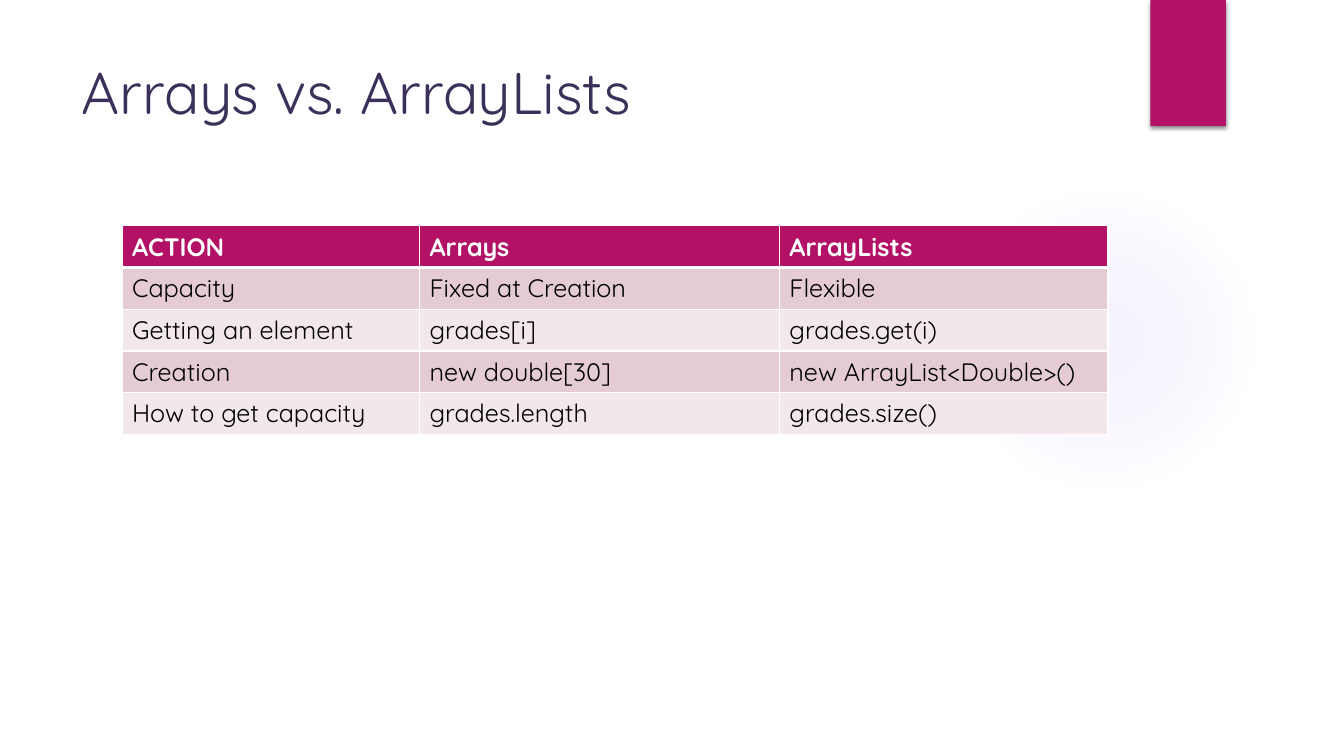
from pptx import Presentation
from pptx.dml.color import RGBColor
from pptx.enum.shapes import MSO_SHAPE
from pptx.enum.text import MSO_ANCHOR, PP_ALIGN
from pptx.oxml import parse_xml
from pptx.oxml.ns import nsdecls, qn
from pptx.util import Inches, Pt

OVAL, RECTANGLE = MSO_SHAPE.OVAL, MSO_SHAPE.RECTANGLE
TOP, LEFT = MSO_ANCHOR.TOP, PP_ALIGN.LEFT

# Content
TITLE = "Arrays vs. ArrayLists"
ROWS = [
    ("ACTION", "Arrays", "ArrayLists"),
    ("Capacity", "Fixed at Creation", "Flexible"),
    ("Getting an element", "grades[i]", "grades.get(i)"),
    ("Creation", "new double[30]", "new ArrayList<Double>()"),
    ("How to get capacity", "grades.length", "grades.size()"),
]

# Style
FONT = "Quicksand"
MAGENTA, VIOLET, INK = "B31166", "9B6BF2", "3B3059"
WHITE, BLACK = "FFFFFF", "000000"
BANDS = ("F2E7EA", "E5CCD3")
GLOW_STOPS = [(0, 7), (36, 6), (69, 0)]  # position %, opacity %
COLUMN_WIDTHS = (2.95, 3.57, 3.26)
ROW_HEIGHT = 0.41


def color(value):
    return RGBColor.from_string(value)


def set_font(paragraph, size, value, bold=False):
    font = paragraph.font
    font.name, font.size, font.bold = FONT, Pt(size), bold
    font.color.rgb = color(value)


def add_plain_shape(kind, left, top, width, height):
    shape = slide.shapes.add_shape(
        kind, Inches(left), Inches(top), Inches(width), Inches(height))
    shape.shadow.inherit = False
    shape.line.fill.background()
    return shape


def set_border(cell, side, points):
    cell._tc.get_or_add_tcPr().append(parse_xml(
        f'<a:{side} {nsdecls("a")} w="{Pt(points)}"><a:solidFill>'
        f'<a:srgbClr val="{WHITE}"/></a:solidFill></a:{side}>'))


presentation = Presentation()
presentation.slide_width, presentation.slide_height = Inches(13.33), Inches(7.5)
slide = presentation.slides.add_slide(presentation.slide_layouts[5])

# Soft round glow
glow = add_plain_shape(OVAL, 9.41, 1.83, 3.08, 3.08)
glow.fill.background()
stops = "".join(
    f'<a:gs pos="{position * 1000}"><a:srgbClr val="{VIOLET}">'
    f'<a:alpha val="{opacity * 1000}"/></a:srgbClr></a:gs>'
    for position, opacity in GLOW_STOPS)
gradient = parse_xml(
    f'<a:gradFill {nsdecls("a")}><a:gsLst>{stops}</a:gsLst><a:path path="circle">'
    '<a:fillToRect l="50000" t="50000" r="50000" b="50000"/></a:path></a:gradFill>')
glow_properties = glow._element.spPr
glow_properties.replace(glow_properties.find(qn("a:noFill")), gradient)

# Corner tab with its shadow
tab = add_plain_shape(RECTANGLE, 11.41, 0, 0.75, 1.25)
tab.fill.solid()
tab.fill.fore_color.rgb = color(MAGENTA)
tab._element.spPr.find(qn("a:effectLst")).append(parse_xml(
    f'<a:outerShdw {nsdecls("a")} blurRad="{Pt(3)}" dist="{Pt(2)}" dir="5400000" '
    f'rotWithShape="0"><a:srgbClr val="{BLACK}"><a:alpha val="45000"/>'
    '</a:srgbClr></a:outerShdw>'))

# Title
title = slide.shapes.title
title.left, title.top = Inches(0.71), Inches(0.5)
title.width, title.height = Inches(10.29), Inches(1.53)
title.text_frame.text = TITLE
title.text_frame.vertical_anchor = TOP
title_paragraph = title.text_frame.paragraphs[0]
title_paragraph.alignment = LEFT
set_font(title_paragraph, 42, INK)

# Comparison table
table = slide.shapes.add_table(
    len(ROWS), len(COLUMN_WIDTHS), Inches(1.21), Inches(2.24),
    Inches(sum(COLUMN_WIDTHS)), Inches(ROW_HEIGHT * len(ROWS))).table
for column, width in zip(table.columns, COLUMN_WIDTHS):
    column.width = Inches(width)
for row_index, texts in enumerate(ROWS):
    header = row_index == 0
    table.rows[row_index].height = Inches(ROW_HEIGHT)
    for column_index, text in enumerate(texts):
        cell = table.cell(row_index, column_index)
        cell.text = text
        set_font(cell.text_frame.paragraphs[0], 18, WHITE if header else BLACK, header)
        for side in ("lnL", "lnR", "lnT", "lnB"):
            heavy = (row_index, side) in ((0, "lnB"), (1, "lnT"))
            set_border(cell, side, 3 if heavy else 1)
        cell.fill.solid()
        cell.fill.fore_color.rgb = color(MAGENTA if header else BANDS[row_index % 2])

presentation.save("out.pptx")
